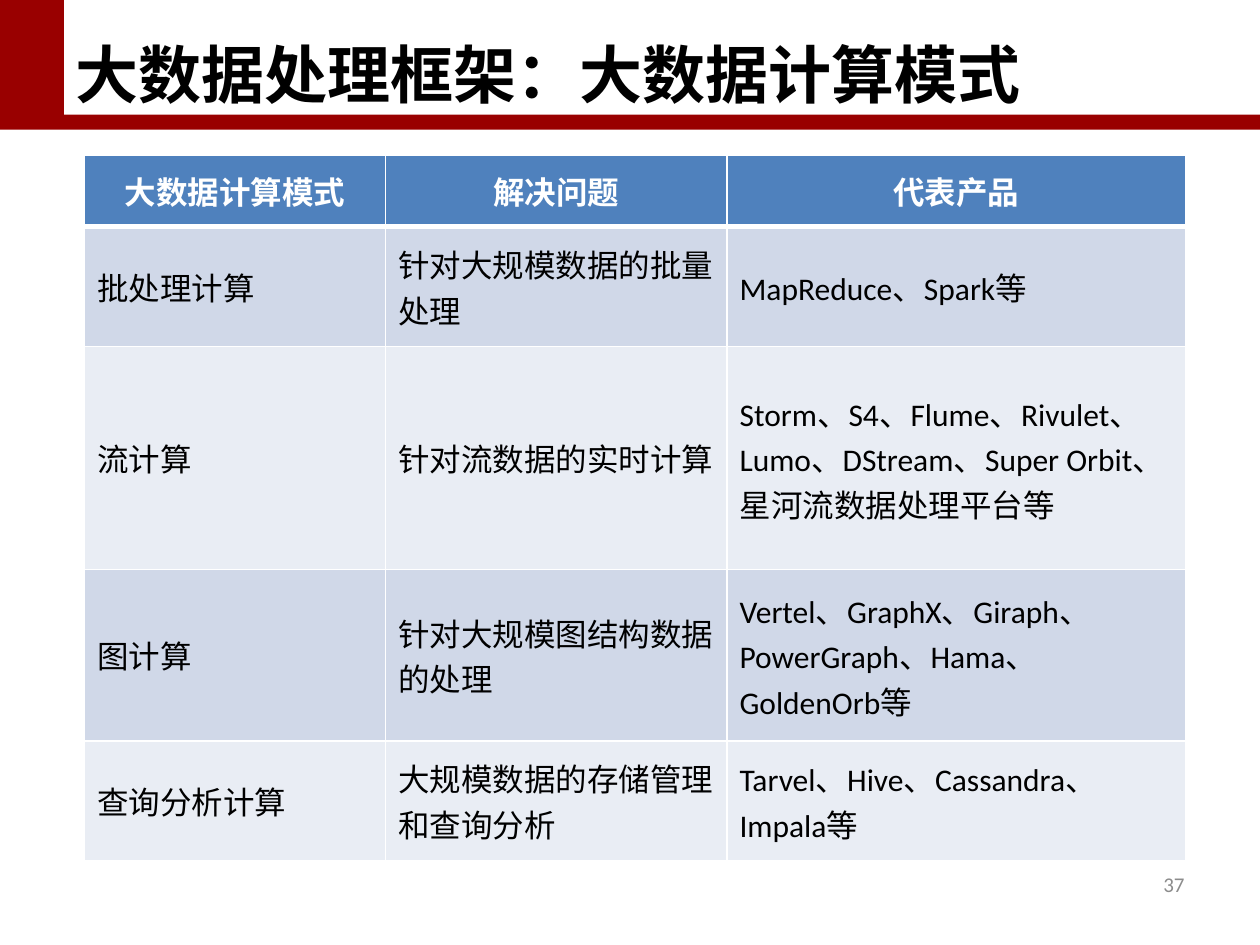
from lxml import etree
from pptx import Presentation
from pptx.dml.color import RGBColor
from pptx.enum.shapes import MSO_SHAPE
from pptx.enum.text import MSO_ANCHOR, MSO_AUTO_SIZE, PP_ALIGN
from pptx.oxml.ns import qn
from pptx.util import Inches, Pt

RECTANGLE = MSO_SHAPE.RECTANGLE
MIDDLE = MSO_ANCHOR.MIDDLE
NO_AUTOFIT = MSO_AUTO_SIZE.NONE
LEFT, CENTER, RIGHT = PP_ALIGN.LEFT, PP_ALIGN.CENTER, PP_ALIGN.RIGHT

TITLE_ONLY = 5
FONT = "Calibri"
BAND_HEIGHT = 0.12
HEADER_FILL = "4F81BD"
ROW_FILLS = ("D0D8E8", "E9EDF4")
BORDER_COLOR = "FFFFFF"
COLUMN_WIDTHS = (2.39, 2.71, 3.64)
ROW_HEIGHTS = (0.57, 0.95, 1.77, 1.36, 0.95)
ROWS = (
    ("大数据计算模式", "解决问题", "代表产品"),
    ("批处理计算", "针对大规模数据的批量处理", "MapReduce、Spark等"),
    ("流计算", "针对流数据的实时计算",
     "Storm、S4、Flume、Rivulet、Lumo、DStream、Super Orbit、星河流数据处理平台等"),
    ("图计算", "针对大规模图结构数据的处理",
     "Vertel、GraphX、Giraph、PowerGraph、Hama、GoldenOrb等"),
    ("查询分析计算", "大规模数据的存储管理和查询分析",
     "Tarvel、Hive、Cassandra、Impala等"),
)


def color(hex_string):
    return RGBColor.from_string(hex_string)


def write_text(text_frame, text, size=18, text_color="000000", bold=False, alignment=LEFT):
    text_frame.word_wrap = True
    paragraph = text_frame.paragraphs[0]
    paragraph.alignment = alignment
    run = paragraph.add_run()
    run.text = text
    run.font.name = FONT
    run.font.size = Pt(size)
    run.font.bold = bold
    run.font.color.rgb = color(text_color)


def add_rectangle(slide, left, top, width, height, fill):
    shape = slide.shapes.add_shape(
        RECTANGLE, Inches(left), Inches(top), Inches(width), Inches(height))
    shape.shadow.inherit = False
    shape.fill.solid()
    shape.fill.fore_color.rgb = color(fill)
    shape.line.fill.background()
    return shape


def add_header(slide, left, top, width, height, text):
    tab_width = 0.51
    band = add_rectangle(slide, left, top, width, height, "990000")
    panel = add_rectangle(
        slide, left + tab_width, top, width - tab_width, height - BAND_HEIGHT, "FFFFFF")
    title = slide.shapes.title
    for shape in (band, panel):
        title.element.addprevious(shape.element)
    title.left, title.top = Inches(left + 0.5), Inches(top + 0.16)
    title.width, title.height = Inches(width - 1), Inches(0.85)
    title.text_frame.auto_size = NO_AUTOFIT
    title.text_frame.vertical_anchor = MIDDLE
    write_text(title.text_frame, text, size=36, bold=True)


def set_borders(cell, top, bottom):
    properties = cell._tc.get_or_add_tcPr()
    widths = {"a:lnL": 1, "a:lnR": 1, "a:lnT": top, "a:lnB": bottom}
    for position, (tag, width) in enumerate(widths.items()):
        line = etree.Element(qn(tag), w=str(Pt(width)))
        fill = etree.SubElement(line, qn("a:solidFill"))
        etree.SubElement(fill, qn("a:srgbClr"), val=BORDER_COLOR)
        properties.insert(position, line)


def add_mode_table(slide, left, top, width, height):
    table = slide.shapes.add_table(
        len(ROWS), len(COLUMN_WIDTHS),
        Inches(left), Inches(top), Inches(width), Inches(height)).table
    for column, column_width in zip(table.columns, COLUMN_WIDTHS):
        column.width = Inches(column_width)
    for row_index, (row, row_height) in enumerate(zip(table.rows, ROW_HEIGHTS)):
        row.height = Inches(row_height)
        is_header = row_index == 0
        fill = HEADER_FILL if is_header else ROW_FILLS[(row_index - 1) % 2]
        for cell, text in zip(row.cells, ROWS[row_index]):
            cell.fill.solid()
            cell.fill.fore_color.rgb = color(fill)
            cell.vertical_anchor = MIDDLE
            set_borders(cell, top=3 if row_index == 1 else 1, bottom=3 if is_header else 1)
            write_text(cell.text_frame, text, bold=is_header,
                       text_color="FFFFFF" if is_header else "000000",
                       alignment=CENTER if is_header else LEFT)


def add_page_number(slide, left, top, width, height, number):
    text_box = slide.shapes.add_textbox(
        Inches(left), Inches(top), Inches(width), Inches(height))
    text_box.text_frame.vertical_anchor = MIDDLE
    write_text(text_box.text_frame, number, size=12, text_color="8C8C8C", alignment=RIGHT)


def main():
    presentation = Presentation()
    presentation.slide_width = Inches(10)
    presentation.slide_height = Inches(7.5)
    slide = presentation.slides.add_slide(presentation.slide_layouts[TITLE_ONLY])
    add_header(slide, 0, 0, 10, 1.03, "大数据处理框架：大数据计算模式")
    add_mode_table(slide, 0.67, 1.23, sum(COLUMN_WIDTHS), sum(ROW_HEIGHTS))
    add_page_number(slide, 7.17, 6.82, 2.33, 0.4, "37")
    presentation.save("out.pptx")


if __name__ == "__main__":
    main()
